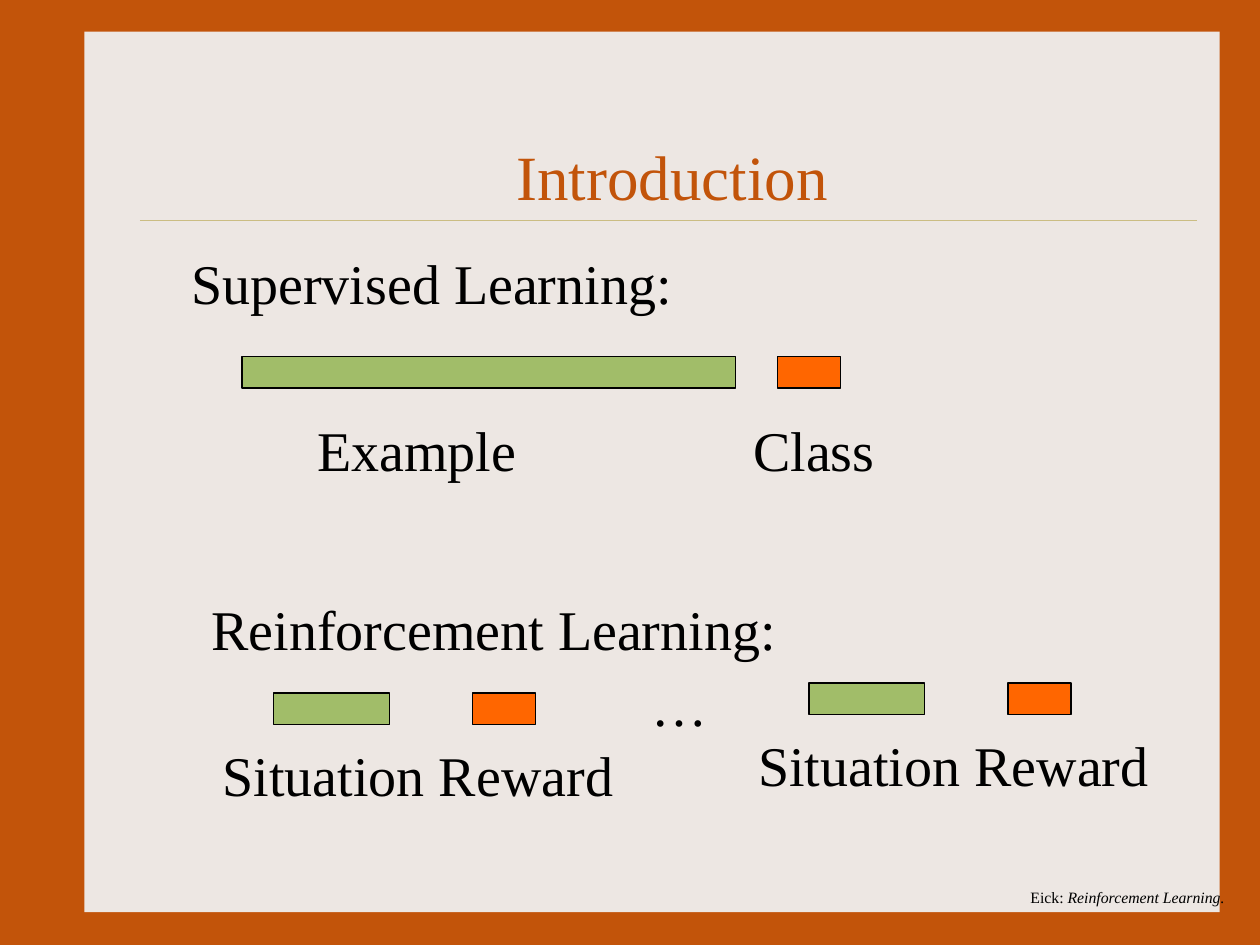
from lxml import etree
from pptx import Presentation
from pptx.dml.color import RGBColor
from pptx.enum.shapes import MSO_CONNECTOR, MSO_SHAPE
from pptx.enum.text import MSO_ANCHOR, PP_ALIGN
from pptx.oxml.ns import qn
from pptx.util import Inches, Pt

RECTANGLE, STRAIGHT = MSO_SHAPE.RECTANGLE, MSO_CONNECTOR.STRAIGHT
LEFT, CENTER = PP_ALIGN.LEFT, PP_ALIGN.CENTER
TOP, MIDDLE = MSO_ANCHOR.TOP, MSO_ANCHOR.MIDDLE
COLORS = {"frame": "C2540A", "panel": "EDE7E3", "rule": "CBBD83",
          "input": "A1BD69", "output": "FF6600", "text": "000000"}
FONT = "Times New Roman"
BAR_HEIGHT, OUTPUT_WIDTH, LABEL_HEIGHT = 0.25, 0.5, 0.64


def color(name):
    """Return the named colour."""
    return RGBColor.from_string(COLORS[name])


def add_text(slide, box, text, size=32, tint="text", align=LEFT, anchor=TOP):
    """Write one line of text in a box and return its paragraph."""
    frame = slide.shapes.add_textbox(*map(Inches, box)).text_frame
    frame.word_wrap = True
    frame.vertical_anchor = anchor
    paragraph = frame.paragraphs[0]
    paragraph.alignment = align
    paragraph.font.name, paragraph.font.size = FONT, Pt(size)
    paragraph.font.color.rgb = color(tint)
    paragraph.add_run().text = text
    return paragraph


def add_bar(slide, box, fill, outlined=True):
    """Draw a plain rectangle, with a thin dark outline if wanted."""
    shape = slide.shapes.add_shape(RECTANGLE, *map(Inches, box))
    shape.shadow.inherit = False
    shape.fill.solid()
    shape.fill.fore_color.rgb = color(fill)
    if outlined:
        shape.line.color.rgb = color("text")
        shape.line.width = Pt(0.74)
    else:
        shape.line.fill.background()


def add_frame(slide, width, height):
    """Draw the background, panel, title rule and footer."""
    slide.background.fill.solid()
    slide.background.fill.fore_color.rgb = color("frame")
    add_bar(slide, (0.067 * width, height / 30, 0.901 * width, 0.932 * height), "panel", False)
    rule_top = Inches(1.75)
    rule = slide.shapes.add_connector(STRAIGHT, Inches(1.11), rule_top, Inches(9.5), rule_top)
    rule.line.color.rgb = color("rule")
    rule.line.width = Pt(0.26)
    etree.SubElement(rule._element.spPr, qn("a:effectLst"))
    footer = add_text(slide, (8.08, 7, 1.85, 0.25), "Eick: ", 9)
    source = footer.add_run()
    source.text = "Reinforcement Learning."
    source.font.italic = True


def add_supervised(slide, left, top):
    """Place the heading, example and class bars and their labels."""
    add_text(slide, (left, top, 4.2, LABEL_HEIGHT), "Supervised Learning:")
    bar_top, label_top = top + 0.91, top + 1.33
    add_bar(slide, (left + 0.5, bar_top, 3.92, BAR_HEIGHT), "input")
    add_bar(slide, (left + 4.75, bar_top, OUTPUT_WIDTH, BAR_HEIGHT), "output")
    add_text(slide, (left + 1, label_top, 1.9, LABEL_HEIGHT), "Example")
    add_text(slide, (left + 4.46, label_top, 1.3, LABEL_HEIGHT), "Class")


def add_step(slide, left, top):
    """Place one situation and reward pair with its label."""
    add_bar(slide, (left + 0.5, top, 0.92, BAR_HEIGHT), "input")
    add_bar(slide, (left + 2.08, top, OUTPUT_WIDTH, BAR_HEIGHT), "output")
    add_text(slide, (left, top + 0.33, 3.45, LABEL_HEIGHT), "Situation Reward")


def add_reinforcement(slide, left, top):
    """Place the heading and the two steps joined by an ellipsis."""
    add_text(slide, (left, top, 5, LABEL_HEIGHT), "Reinforcement Learning:")
    for step_left, step_top in ((0.09, 0.83), (4.34, 0.75)):
        add_step(slide, left + step_left, top + step_top)
    add_text(slide, (left + 3.49, top + 0.6, 0.75, LABEL_HEIGHT), "…")


def build(width=10, height=7.5):
    """Build and save the presentation."""
    presentation = Presentation()
    presentation.slide_width, presentation.slide_height = Inches(width), Inches(height)
    slide = presentation.slides.add_slide(presentation.slide_layouts[6])
    add_frame(slide, width, height)
    add_text(slide, (1.17, 1.11, 8.33, 0.56), "Introduction", 36, "frame", CENTER, MIDDLE)
    add_supervised(slide, 1.42, 1.92)
    add_reinforcement(slide, 1.58, 4.67)
    presentation.save("out.pptx")


build()
